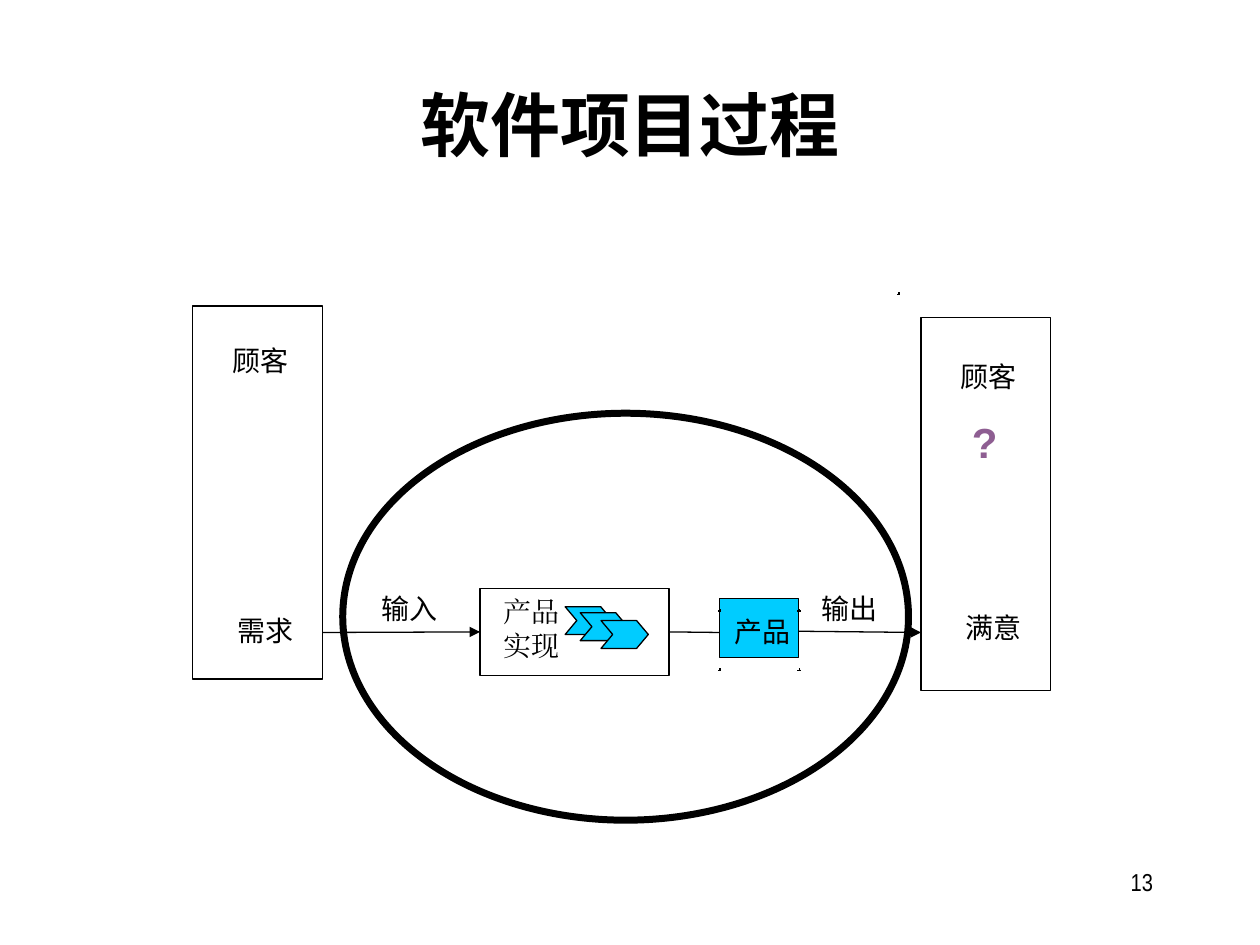
from lxml import etree
from pptx import Presentation
from pptx.dml.color import RGBColor
from pptx.enum.shapes import MSO_CONNECTOR, MSO_SHAPE
from pptx.enum.text import MSO_ANCHOR, PP_ALIGN
from pptx.oxml.ns import qn
from pptx.util import Inches, Pt

RECT, OVAL, CHEVRON = MSO_SHAPE.RECTANGLE, MSO_SHAPE.OVAL, MSO_SHAPE.CHEVRON
STRAIGHT = MSO_CONNECTOR.STRAIGHT
LEFT, CENTER, RIGHT = PP_ALIGN.LEFT, PP_ALIGN.CENTER, PP_ALIGN.RIGHT
TOP, MIDDLE = MSO_ANCHOR.TOP, MSO_ANCHOR.MIDDLE
LEFT_SIDE, RIGHT_SIDE = 1, 3

CJK = "Noto Sans CJK SC"
BLACK, CYAN, PURPLE = "000000", "00CCFF", "8E5E92"
FLOW_Y = 5.02
LABEL_W, LABEL_H = 0.5, 0.27


def color(value):
    return RGBColor.from_string(value)


def add_run(para, text, size, font=CJK, tint=BLACK, bold=False):
    span = para.add_run()
    span.text = text
    span.font.size, span.font.name, span.font.bold = Pt(size), font, bold
    span.font.color.rgb = color(tint)
    east_asian = etree.SubElement(span.font._element, qn("a:ea"))
    east_asian.set("typeface", font)


def add_text(page, box, text, size, align=LEFT, anchor=TOP, inset=(0.1, 0.05), **style):
    frame = page.shapes.add_textbox(*map(Inches, box)).text_frame
    frame.word_wrap = True
    frame.vertical_anchor = anchor
    frame.margin_left = frame.margin_right = Inches(inset[0])
    frame.margin_top = frame.margin_bottom = Inches(inset[1])
    para = frame.paragraphs[0]
    para.alignment = align
    add_run(para, text, size, **style)


def add_label(page, center_x, center_y, text):
    box = (center_x - LABEL_W / 2, center_y - LABEL_H / 2, LABEL_W, LABEL_H)
    add_text(page, box, text, 16, CENTER, MIDDLE, inset=(0, 0))


def add_outline(page, kind, box, fill=None, width=0.75):
    shape = page.shapes.add_shape(kind, *map(Inches, box))
    shape.shadow.inherit = False
    if fill:
        shape.fill.solid()
        shape.fill.fore_color.rgb = color(fill)
    else:
        shape.fill.background()
    shape.line.color.rgb = color(BLACK)
    shape.line.width = Pt(width)
    return shape


def add_line(page, start, end, arrow=False, width=0.75):
    line = page.shapes.add_connector(STRAIGHT, *map(Inches, start + end))
    line.line.color.rgb = color(BLACK)
    line.line.width = Pt(width)
    if arrow:
        etree.SubElement(line.line._get_or_add_ln(), qn("a:tailEnd")).set("type", "triangle")
    etree.SubElement(line._element.spPr, qn("a:effectLst"))
    return line


def add_title(page, box, text):
    title = page.shapes.title
    title.left, title.top, title.width, title.height = map(Inches, box)
    frame = title.text_frame
    frame.vertical_anchor = TOP
    para = frame.paragraphs[0]
    para.alignment = CENTER
    para.line_spacing = 0.9
    add_run(para, text, 40, bold=True)


def add_customer(page, box, labels):
    """Draw a customer panel; labels hold a text and its centre as shares of the box."""
    left, top, width, height = box
    add_outline(page, RECT, box)
    for text, share_x, share_y in labels:
        add_label(page, left + share_x * width, top + share_y * height, text)


def add_process(page, box):
    left, top, width, height = box
    frame = add_outline(page, RECT, box)
    add_text(page, (left + 0.06 * width, top, 0.45 * width, 0.93 * height),
             "产品实现", 16, font="Times New Roman")
    for share_x, share_y in ((0.45, 0.21), (0.53, 0.28), (0.64, 0.37)):
        step = add_outline(page, CHEVRON, (left + share_x * width, top + share_y * height,
                                           0.25 * width, 0.32 * height), CYAN)
        step.adjustments[0] = 0.42
    return frame


def add_product(page, box):
    left, top, width, height = box
    add_outline(page, RECT, box, CYAN)
    add_label(page, left + 0.54 * width, top + 0.56 * height, "产品")
    for x in (left, left + width):
        for y in (top + 0.2 * height, top + 1.2 * height):
            add_tick(page, x, y)


def add_tick(page, x, y, size=0.01):
    """Draw a tiny corner mark."""
    add_line(page, (x, y), (x + size, y), width=0)
    add_line(page, (x, y), (x, y + size), width=0)


def add_flow(page, customer, process_frame, process, product, satisfied):
    """Join the boxes from left to right and name the input and the output."""
    customer_end = customer[0] + customer[2]
    process_end = process[0] + process[2]
    product_end = product[0] + product[2]
    arrow = add_line(page, (customer_end, FLOW_Y), (process[0], FLOW_Y), True)
    arrow.end_connect(process_frame, LEFT_SIDE)
    link = add_line(page, (process_end, FLOW_Y), (product[0], FLOW_Y))
    link.begin_connect(process_frame, RIGHT_SIDE)
    add_line(page, (product_end, FLOW_Y - 0.01), (satisfied[0], FLOW_Y), True)
    for center_x, text in ((3.25, "输入"), (6.74, "输出")):
        add_label(page, center_x, FLOW_Y - 0.19, text)


def main():
    deck = Presentation()
    deck.slide_width, deck.slide_height = Inches(10), Inches(7.5)
    page = deck.slides.add_slide(deck.slide_layouts[5])

    customer = (1.53, 2.43, 1.03, 2.96)
    satisfied = (7.31, 2.52, 1.03, 2.96)
    process = (3.81, 4.67, 1.5, 0.69)
    product = (5.71, 4.75, 0.63, 0.47)

    add_title(page, (0.75, 0.67, 8.5, 1.25), "软件项目过程")
    add_customer(page, customer, (("顾客", 0.52, 0.144), ("需求", 0.56, 0.87)))
    add_customer(page, satisfied, (("顾客", 0.52, 0.157), ("满意", 0.56, 0.83)))
    add_text(page, (7.44, 3.26, 0.75, 1.42), "?", 24, CENTER,
             font="Arial", tint=PURPLE, bold=True)
    process_frame = add_process(page, process)
    add_product(page, product)
    add_flow(page, customer, process_frame, process, product, satisfied)
    add_tick(page, 7.13, 2.33)
    add_outline(page, OVAL, (2.72, 3.28, 4.49, 3.23), width=4)
    add_text(page, (7.17, 6.83, 2.08, 0.5), "13", 14, RIGHT, font="Arial Narrow")
    deck.save("out.pptx")


if __name__ == "__main__":
    main()
